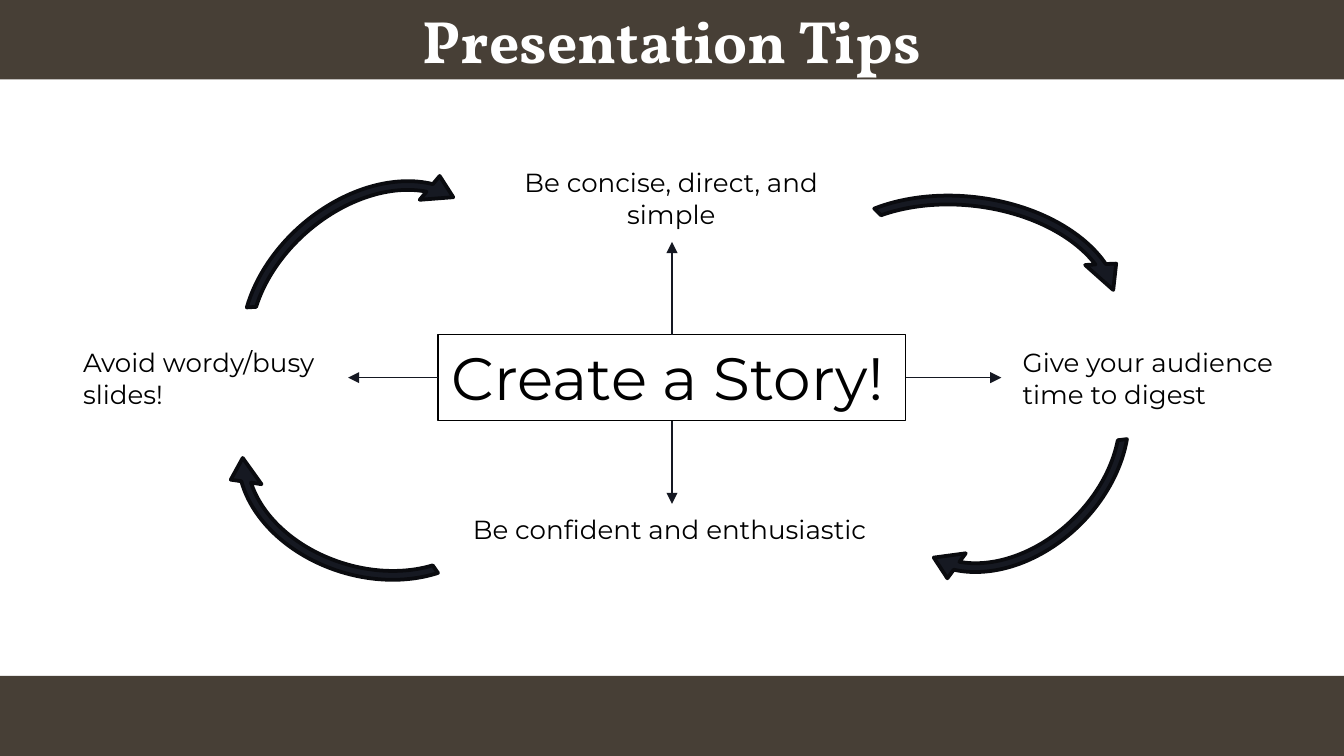
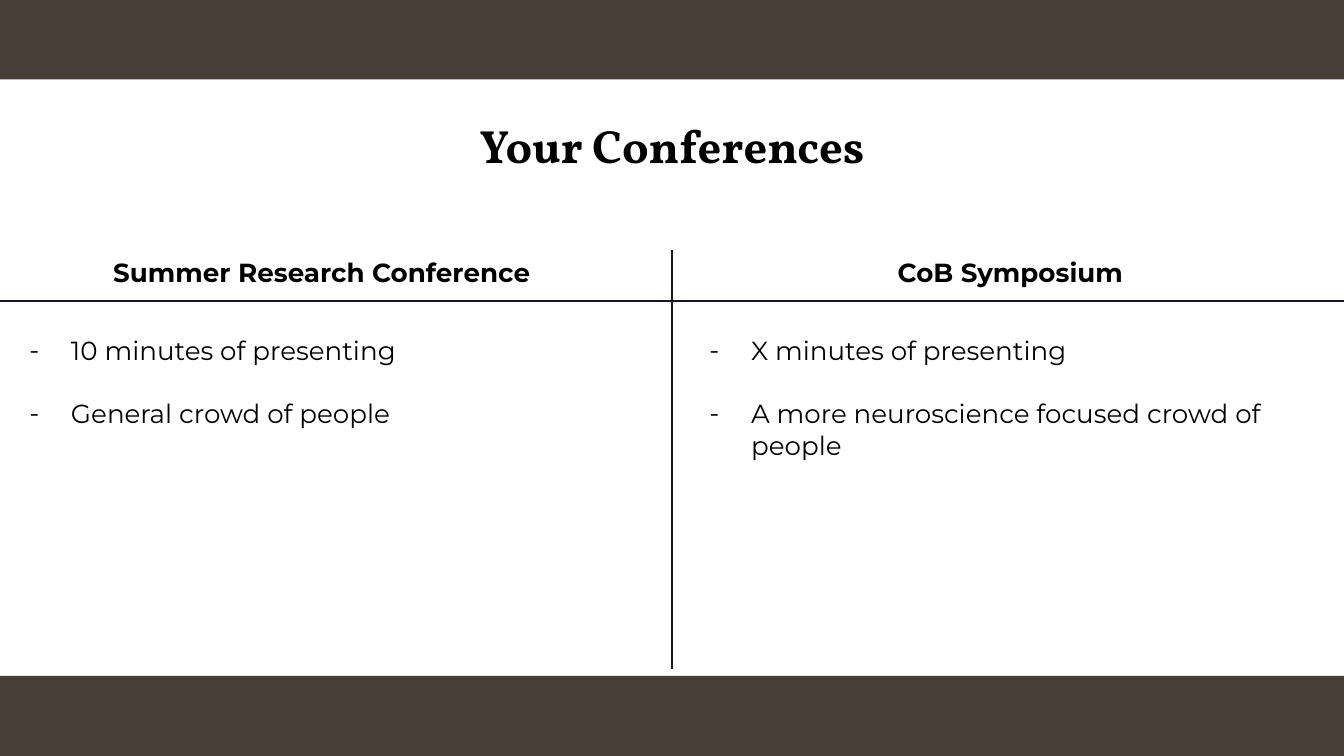
"""Build two slides: presentation tips around a story, and two conferences compared."""
from dataclasses import dataclass

from lxml import etree
from pptx import Presentation
from pptx import util as u
from pptx.dml.color import RGBColor
from pptx.enum import shapes, text
from pptx.oxml import ns

COLORS = {
    "band": "473F36", "white": "FFFFFF", "ink": "000000",
    "line": "151822", "arrow": "161922", "arrow_edge": "0A0B0F",
}
HEAD_FONT, BODY_FONT = "Vollkorn", "Montserrat"
WIDTH = 10
HEIGHT = WIDTH * 9 / 16
CENTER = text.PP_ALIGN.CENTER
LEFT = text.PP_ALIGN.LEFT
ARROW_ADJ = (0.04, 6.46, 204.17, 130.65, 0.07)


@dataclass(frozen=True)
class Box:
    left: float
    top: float
    width: float
    height: float

    def emu(self):
        return [u.Inches(v) for v in (self.left, self.top, self.width, self.height)]


@dataclass(frozen=True)
class Tip:
    words: str
    box: Box
    start: tuple[float, float]
    end: tuple[float, float]
    align: text.PP_ALIGN = LEFT
    wrap: bool = True


@dataclass(frozen=True)
class CurvedArrow:
    box: Box
    rotation: float


@dataclass(frozen=True)
class Conference:
    name: str
    name_box: Box
    align: text.PP_ALIGN
    points: tuple[str, ...]
    points_box: Box


BANDS = [Box(0, top, WIDTH, 0.62) for top in (-0.03, 5.03)]
STORY = Box(3.26, 2.49, 3.48, 0.64)
TIPS = [
    Tip("Avoid wordy/busy slides!", Box(0.52, 2.53, 2.07, 0.57), (3.26, 2.81), (2.59, 2.81)),
    Tip("Be confident and enthusiastic", Box(3.42, 3.77, 3.15, 0.34), (5, 3.13), (5, 3.75),
        wrap=False),
    Tip("Be concise, direct, and simple", Box(3.75, 1.19, 2.49, 0.57), (5, 2.49), (5, 1.8),
        align=CENTER),
    Tip("Give your audience time to digest", Box(7.51, 2.53, 2.49, 0.57), (6.74, 2.81),
        (7.45, 2.81)),
]
CYCLE = [
    CurvedArrow(Box(5.93, 1.38, 2.49, 1.65), 6.5),
    CurvedArrow(Box(1.6, 1.41, 2.26, 1.65), 318.9),
    CurvedArrow(Box(1.67, 2.72, 2.17, 1.65), 197.2),
    CurvedArrow(Box(6.43, 2.55, 2.17, 1.65), 135.2),
]
CONFERENCES = [
    Conference("Summer Research Conference", Box(0.73, 1.86, 3.33, 0.34), CENTER,
               ("10 minutes of presenting", "General crowd of people"),
               Box(0.12, 2.44, 4.54, 0.81)),
    Conference("CoB Symposium", Box(6.58, 1.86, 1.89, 0.34), LEFT,
               ("X minutes of presenting", "A more neuroscience focused crowd of people"),
               Box(5.18, 2.44, 4.82, 1.28)),
]


def rgb(name: str) -> RGBColor:
    return RGBColor.from_string(COLORS[name])


def add_bullet(p) -> None:
    pPr = p._p.get_or_add_pPr()
    pPr.set("marL", str(u.Inches(0.31)))
    pPr.set("indent", str(u.Inches(-0.31)))
    buClr = etree.SubElement(pPr, ns.qn("a:buClr"))
    etree.SubElement(buClr, ns.qn("a:srgbClr"), val=COLORS["ink"])
    etree.SubElement(pPr, ns.qn("a:buFont"), typeface=BODY_FONT)
    etree.SubElement(pPr, ns.qn("a:buChar"), char="-")


def write(tf, *lines: str, size: float = 14, font: str = BODY_FONT, color: str = "ink",
          bold: bool = False, align=LEFT, bullets: bool = False, gap: float = 0) -> None:
    for i, line in enumerate(lines):
        p = tf.paragraphs[0] if i == 0 else tf.add_paragraph()
        p.alignment = align
        p.space_before = u.Pt(gap if i else 0)
        if bullets:
            add_bullet(p)
        r = p.add_run()
        r.text = line
        r.font.size, r.font.name, r.font.bold = u.Pt(size), font, bold
        r.font.color.rgb = rgb(color)


def add_label(parent, box: Box, *lines: str, wrap: bool = True, **fmt):
    sp = parent.add_textbox(*box.emu())
    tf = sp.text_frame
    tf.word_wrap = wrap
    tf.auto_size = text.MSO_AUTO_SIZE.SHAPE_TO_FIT_TEXT
    write(tf, *lines, **fmt)
    return sp


def add_line(parent, start: tuple, end: tuple, width: float, arrow: bool = False) -> None:
    ends = [u.Inches(v) for v in (*start, *end)]
    cxn = parent.add_connector(shapes.MSO_CONNECTOR.STRAIGHT, *ends)
    cxn.line.color.rgb = rgb("line")
    cxn.line.width = u.Pt(width)
    spPr = cxn.element.spPr
    if arrow:
        etree.SubElement(spPr.find(ns.qn("a:ln")), ns.qn("a:tailEnd"), type="triangle")
    etree.SubElement(spPr, ns.qn("a:effectLst"))


def add_filled(parent, kind, box: Box, fill: str):
    sp = parent.add_shape(kind, *box.emu())
    sp.shadow.inherit = False
    sp.fill.solid()
    sp.fill.fore_color.rgb = rgb(fill)
    sp.line.fill.background()
    return sp


def add_curved_arrow(parent, arrow: CurvedArrow) -> None:
    sp = add_filled(parent, shapes.MSO_SHAPE.CIRCULAR_ARROW, arrow.box, "arrow")
    sp.line.color.rgb = rgb("arrow_edge")
    sp.line.width = u.Pt(2)
    sp.rotation = arrow.rotation
    for i, value in enumerate(ARROW_ADJ):
        sp.adjustments[i] = value


def add_slide(prs, title: str, top: float, size: float, color: str):
    s = prs.slides.add_slide(prs.slide_layouts[5])
    sp = s.shapes.title
    sp.left, sp.top, sp.width, sp.height = Box(0.78, top, 8.44, 0.6).emu()
    tf = sp.text_frame
    tf.margin_left = tf.margin_right = tf.margin_top = tf.margin_bottom = u.Inches(0.1)
    tf.word_wrap = True
    tf.auto_size = text.MSO_AUTO_SIZE.NONE
    tf.vertical_anchor = text.MSO_ANCHOR.TOP
    write(tf, title, size=size, font=HEAD_FONT, color=color, bold=True, align=CENTER)
    return s


def add_master_bands(prs, s) -> None:
    tree = prs.slide_master.shapes.element
    for i, box in enumerate(BANDS):
        band = add_filled(s.shapes, shapes.MSO_SHAPE.RECTANGLE, box, "band").element
        band.nvSpPr.cNvPr.set("id", str(100 + i))
        tree.insert(2 + i, band)


def build_tips(prs):
    s = add_slide(prs, "Presentation Tips", -0.07, 32, "white")
    story = add_label(s.shapes, STORY, "Create a Story!", size=32, wrap=False)
    story.line.color.rgb = rgb("ink")
    story.line.width = u.Pt(0.75)
    for tip in TIPS:
        group = s.shapes.add_group_shape().shapes
        add_line(group, tip.start, tip.end, 0.75, arrow=True)
        add_label(group, tip.box, tip.words, wrap=tip.wrap, align=tip.align)
    for arrow in CYCLE:
        add_curved_arrow(s.shapes, arrow)
    return s


def build_conferences(prs) -> None:
    s = add_slide(prs, "Your Conferences", 0.77, 25, "ink")
    cross = s.shapes.add_group_shape().shapes
    add_line(cross, (0, 2.24), (WIDTH, 2.24), 1)
    add_line(cross, (WIDTH / 2, 1.86), (WIDTH / 2, 4.98), 1)
    for conf in CONFERENCES:
        add_label(s.shapes, conf.name_box, conf.name, wrap=False, bold=True, align=conf.align)
        add_label(s.shapes, conf.points_box, *conf.points, bullets=True, gap=17)


def main() -> None:
    prs = Presentation()
    prs.slide_width, prs.slide_height = u.Inches(WIDTH), u.Inches(HEIGHT)
    add_master_bands(prs, build_tips(prs))
    build_conferences(prs)
    prs.save("out.pptx")


if __name__ == "__main__":
    main()
